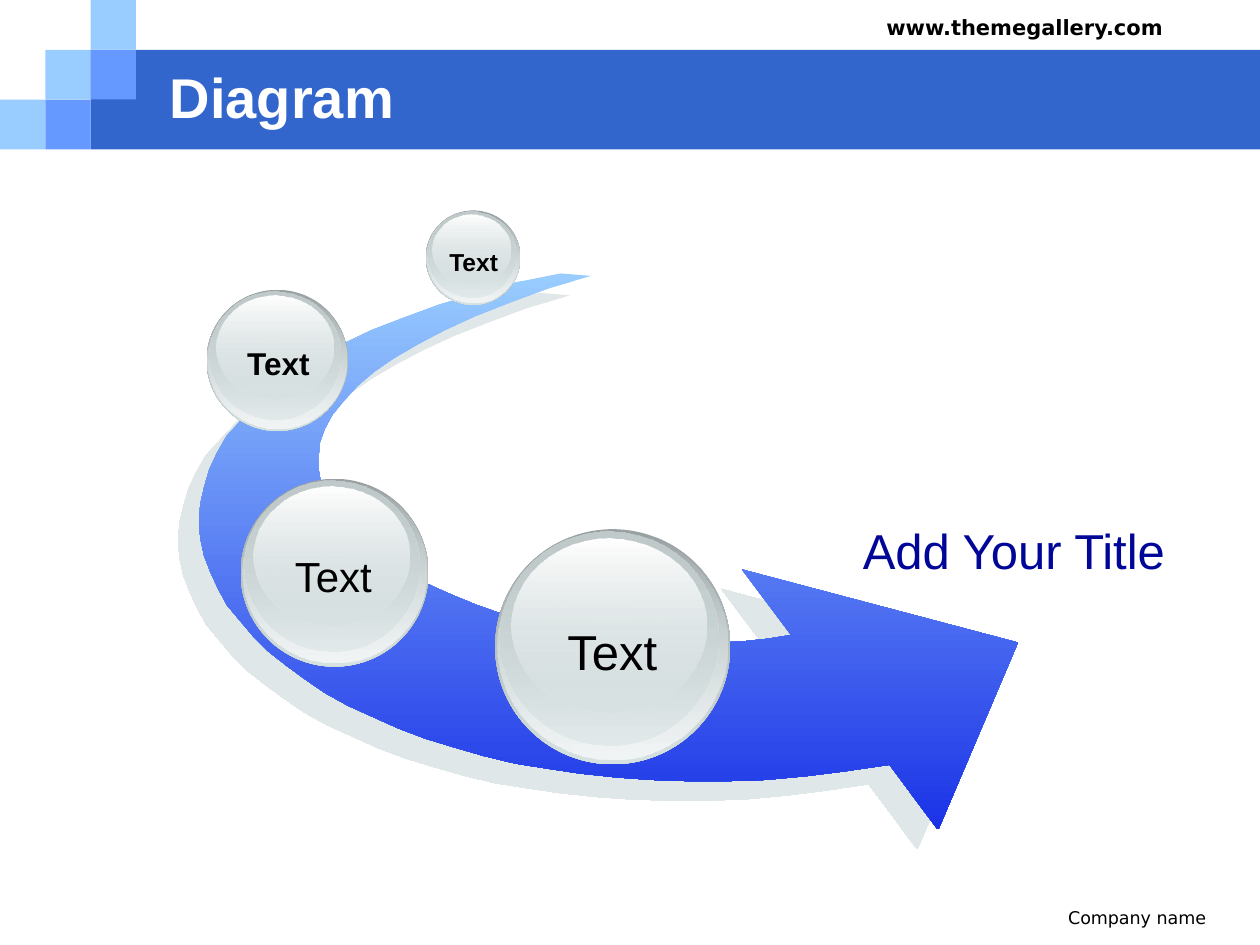
from pptx import Presentation
from pptx.dml.color import RGBColor
from pptx.enum.shapes import MSO_SHAPE
from pptx.enum.text import MSO_ANCHOR, MSO_AUTO_SIZE, PP_ALIGN
from pptx.oxml import parse_xml
from pptx.oxml.ns import nsdecls, qn
from pptx.util import Inches, Pt

BAR = RGBColor(0x33, 0x66, 0xCC)
SKY = RGBColor(0x99, 0xCC, 0xFF)
MID = RGBColor(0x66, 0x99, 0xFF)
DEEP = RGBColor(0x1B, 0x33, 0xE7)
NAVY = RGBColor(0x00, 0x07, 0x98)
BLACK = RGBColor(0x00, 0x00, 0x00)
WHITE = RGBColor(0xFF, 0xFF, 0xFF)
STEEL = RGBColor(0x99, 0xA1, 0xA2)
ASH = RGBColor(0xC1, 0xCB, 0xCC)
MIST = RGBColor(0xD6, 0xE1, 0xE2)
PALE = RGBColor(0xF2, 0xF5, 0xF5)

deck = Presentation()
deck.slide_width, deck.slide_height = Inches(10), Inches(7.5)
slide = deck.slides.add_slide(deck.slide_layouts[6])
shapes = slide.shapes
UNIT = deck.slide_width // 1000  # the slide is a grid of 1000 by 750 units


def blend(shape, top, low, alphas=(100, 100)):
    """Fill a shape from top to bottom, each end with its opacity in percent."""
    shape.shadow.inherit = False
    shape.line.fill.background()
    shape.fill.gradient()
    shape.fill.gradient_angle = 270
    for stop, tone in zip(shape.fill.gradient_stops, (top, low)):
        stop.color.rgb = tone
    tones = list(shape._element.spPr.iter(qn("a:srgbClr")))
    for tone, alpha in zip(tones, alphas):
        if alpha < 100:
            tone.append(parse_xml(f'<a:alpha {nsdecls("a")} val="{alpha * 1000}"/>'))


def write(words, box, size, tone, bold=False, face="Arial", align=PP_ALIGN.LEFT,
          wrap=True, anchor=MSO_ANCHOR.TOP):
    """Add one line of text in a box given in grid units."""
    frame = shapes.add_textbox(*[round(n * UNIT) for n in box]).text_frame
    frame.text = words
    frame.word_wrap = wrap
    frame.vertical_anchor = anchor
    if not wrap:
        frame.auto_size = MSO_AUTO_SIZE.SHAPE_TO_FIT_TEXT
    line = frame.paragraphs[0]
    line.alignment = align
    font = line.runs[0].font
    font.size, font.bold, font.name = Pt(size), bold, face
    font.color.rgb = tone


# Header bar and its steps of squares
COL, ROW = 36, 39.5
tiles = [(2, 1, 25.8, 2, BAR), (0, 2, 1, 1, SKY), (1, 1, 1, 1, SKY),
         (2, 0, 1, 1, SKY), (2, 1, 1, 1, MID), (1, 2, 1, 1, MID)]
for col, row, wide, high, tone in tiles:
    box = (col * COL, row * ROW, wide * COL, high * ROW)
    tile = shapes.add_shape(MSO_SHAPE.RECTANGLE, *[round(n * UNIT) for n in box])
    tile.shadow.inherit = False
    tile.fill.solid()
    tile.fill.fore_color.rgb = tone
    tile.line.fill.background()

# Header and footer text
write("Company name", (650, 715, 317, 35), 10, BLACK, face="DejaVu Sans",
      align=PP_ALIGN.RIGHT)
write("www.themegallery.com", (650, 7, 283, 26), 12, BLACK, True, "DejaVu Sans",
      PP_ALIGN.RIGHT)
write("Diagram", (125, 50, 808, 53), 32, WHITE, True, anchor=MSO_ANCHOR.MIDDLE)

# Curved arrow: outer edge, head, then inner edge
outer = [
    (445, 217), (410, 224), (378, 233), (348, 242), (321, 252), (295, 262),
    (272, 273), (252, 284), (233, 296), (217, 308), (203, 321), (191, 334),
    (180, 346), (172, 360), (166, 373), (162, 387), (159, 400), (158, 414),
    (159, 427), (162, 441), (167, 454), (173, 467), (180, 480), (190, 492),
    (201, 505), (213, 517), (227, 528), (242, 539), (258, 550), (276, 560),
    (296, 569), (316, 578), (337, 586), (360, 593), (384, 600), (409, 606),
    (434, 610), (461, 614), (489, 617), (517, 619), (547, 620), (577, 620),
    (608, 619), (640, 616), (672, 612), (706, 607)]
head = [(744, 658), (745, 658), (808, 510), (589, 452), (628, 504)]
inner = [
    (609, 507), (590, 509), (570, 510), (551, 511), (531, 510), (511, 509),
    (491, 507), (471, 504), (452, 501), (432, 496), (414, 491), (395, 486),
    (378, 480), (361, 473), (345, 466), (330, 459), (316, 451), (303, 442),
    (292, 433), (281, 424), (272, 414), (265, 404), (259, 394), (255, 384),
    (253, 373), (253, 362), (254, 351), (258, 340), (264, 329), (273, 318),
    (284, 306), (297, 295), (313, 284), (332, 273), (353, 262), (377, 251),
    (405, 240), (435, 229), (469, 219)]
pen = shapes.build_freeform(*outer[0], scale=UNIT)
pen.add_line_segments(outer[1:] + head + inner, close=True)
arrow = pen.convert_to_shape()
blend(arrow, SKY, DEEP)
arrow._element.spPr.find(qn("a:effectLst")).append(parse_xml(
    f'<a:outerShdw {nsdecls("a")} blurRad="0" dist="{Pt(16.3)}" dir="{137 * 60000}" '
    'algn="ctr" rotWithShape="0"><a:srgbClr val="C1D1D3"><a:alpha val="50000"/>'
    '</a:srgbClr></a:outerShdw>'))

# Glass balls: four layers, each a share of the ball's size
layers = [(0, 0, 1, 1, STEEL, MIST, (100, 100)),
          (0.01, 0.01, 0.98, 0.97, MIST, PALE, (0, 100)),
          (0.02, 0.01, 0.93, 0.91, ASH, MIST, (100, 48)),
          (0.07, 0.04, 0.83, 0.74, WHITE, MIST, (100, 38))]
balls = [(393, 420, 186.5), (191, 380, 149), (164, 230, 112), (338, 167, 75)]
for left, top, size in balls:
    for dx, dy, wide, high, light, dark, alphas in layers:
        box = (left + dx * size, top + dy * size, wide * size, high * size)
        disc = shapes.add_shape(MSO_SHAPE.OVAL, *[round(n * UNIT) for n in box])
        blend(disc, light, dark, alphas)

# Ball labels and the arrow's title
labels = [((346, 191, 60, 33), 14, True), ((185, 268, 72, 40), 18, True),
          ((222, 432, 85, 50), 24, False), ((438, 488, 96, 57), 28, False)]
for box, size, bold in labels:
    write("Text", box, size, BLACK, bold, align=PP_ALIGN.CENTER, wrap=False)
write("Add Your Title", (675, 408, 292, 57), 28, NAVY)

deck.save("out.pptx")
